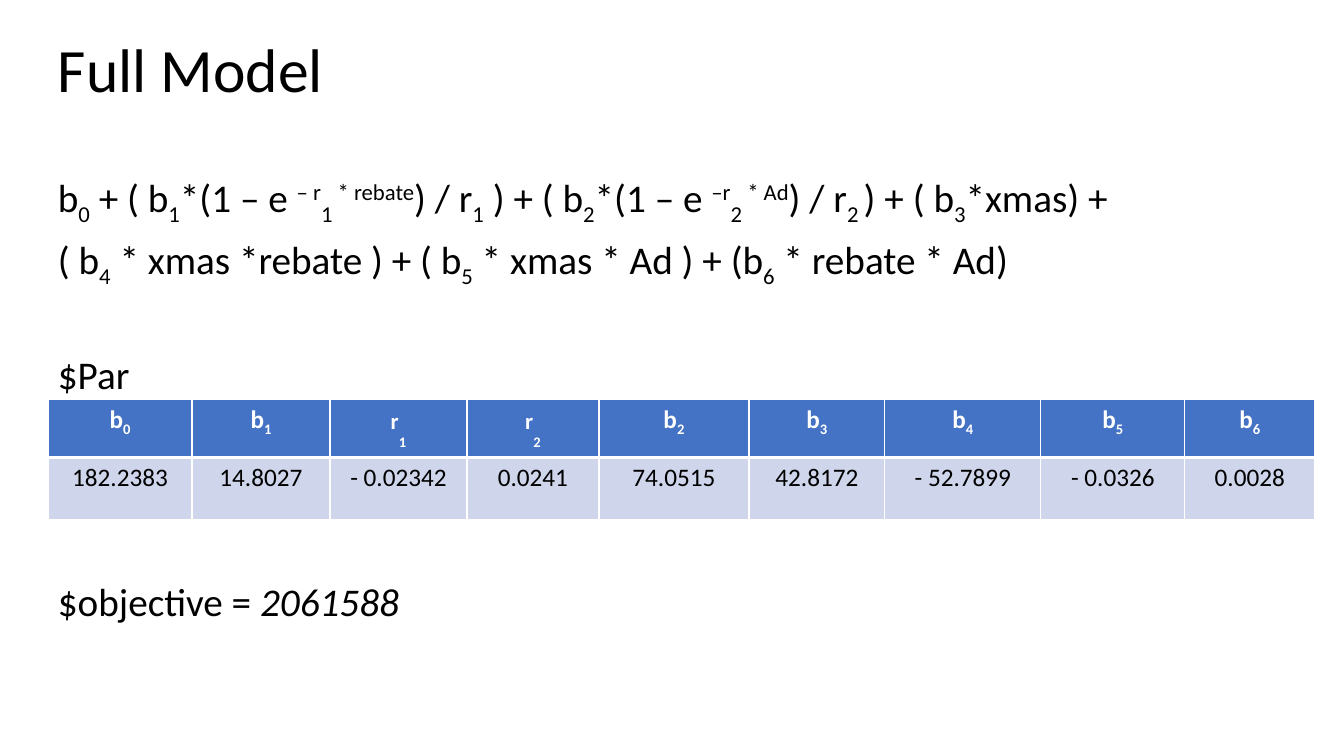
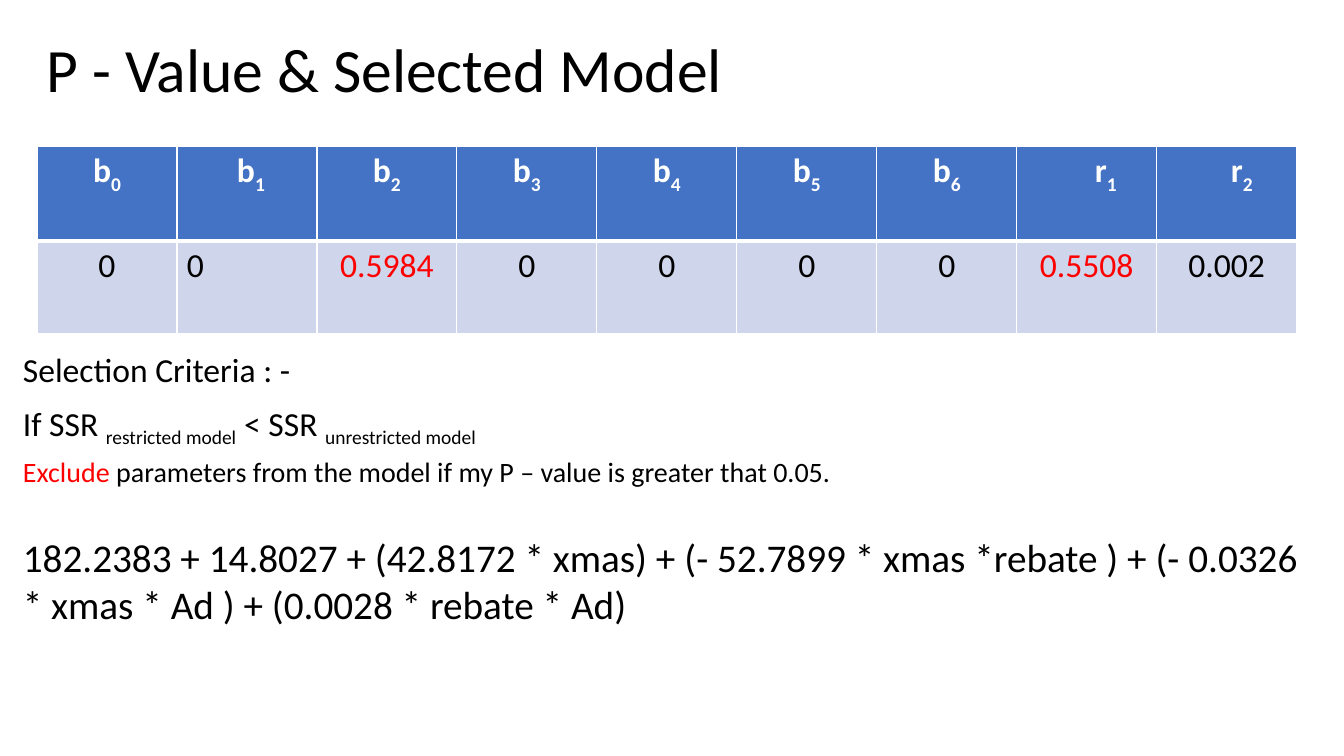
from lxml import etree
from pptx import Presentation
from pptx.dml.color import RGBColor
from pptx.enum.text import MSO_ANCHOR, PP_ALIGN
from pptx.oxml.ns import qn
from pptx.util import Pt

# Shared look
PX = 914400 / 100.8
FONT = "Calibri"
BLACK, WHITE, RED = "000000", "FFFFFF", "FF0000"
HEADER_FILL, VALUE_FILL = "4472C4", "CFD5EA"
TITLE_HEIGHT, TITLE_SIZE = 146, 44
BODY_SPACING, PARAGRAPH_GAP = 0.9, 10
CELL_INSET = 10

# Inline marks, each switched on and off by its character
MARKS = {
    "~": {"baseline": -25},
    "^": {"baseline": 30},
    "`": {"baseline": 30, "size": 28},
    "|": {"italic": True},
    "!": {"color": RED},
}


def px(value):
    return round(value * PX)


def rgb(value):
    return RGBColor.from_string(value)


def split_marks(text):
    """Yield (piece, style) for each stretch of equally marked text."""
    piece, active = "", None
    for char in text:
        if char in MARKS:
            if piece:
                yield piece, MARKS.get(active, {})
            piece, active = "", None if active == char else char
        else:
            piece += char
    if piece:
        yield piece, MARKS.get(active, {})


def write(paragraph, text, size, color=BLACK, bold=False):
    for piece, style in split_marks(text):
        run = paragraph.add_run()
        run.text = piece
        font = run.font
        font.name = FONT
        font.size = Pt(style.get("size", size))
        font.bold = bold
        font.italic = style.get("italic", False)
        font.color.rgb = rgb(style.get("color", color))
        if "baseline" in style:
            run._r.get_or_add_rPr().set("baseline", str(style["baseline"] * 1000))


def add_text(slide, box, lines, anchor=MSO_ANCHOR.TOP):
    """Each line is (text, size, space before, line spacing)."""
    frame = slide.shapes.add_textbox(*map(px, box)).text_frame
    frame.word_wrap = True
    frame.vertical_anchor = anchor
    for index, (text, size, before, spacing) in enumerate(lines):
        paragraph = frame.paragraphs[0] if index == 0 else frame.add_paragraph()
        paragraph.space_before = Pt(before)
        paragraph.line_spacing = spacing
        write(paragraph, text, size)


def add_title(slide, left, width, text):
    add_text(slide, (left, 0, width, TITLE_HEIGHT),
             [(text, TITLE_SIZE, 0, BODY_SPACING)], MSO_ANCHOR.MIDDLE)


def set_borders(cell, widths):
    properties = cell._tc.get_or_add_tcPr()
    for side, width in zip("LRTB", widths):
        line = etree.SubElement(properties, qn(f"a:ln{side}"), w=str(Pt(width)))
        fill = etree.SubElement(line, qn("a:solidFill"))
        etree.SubElement(fill, qn("a:srgbClr"), val=WHITE)


def add_parameter_table(slide, left, top, columns, rows, names, values, size):
    table = slide.shapes.add_table(
        2, len(columns), px(left), px(top), px(sum(columns)), px(sum(rows))).table
    for column, width in zip(table.columns, columns):
        column.width = px(width)
    for row, height in zip(table.rows, rows):
        row.height = px(height)
    for r, texts in enumerate((names, values)):
        is_header = r == 0
        # The rule between header and values is heavier than the rest
        widths = (1, 1, 1, 3) if is_header else (1, 1, 3, 1)
        for c, text in enumerate(texts):
            cell = table.cell(r, c)
            set_borders(cell, widths)
            cell.fill.solid()
            cell.fill.fore_color.rgb = rgb(HEADER_FILL if is_header else VALUE_FILL)
            cell.margin_left = cell.margin_right = px(CELL_INSET)
            paragraph = cell.text_frame.paragraphs[0]
            paragraph.alignment = PP_ALIGN.CENTER
            write(paragraph, text, size, WHITE if is_header else BLACK, is_header)
    return table


def full_model(slide):
    blank_line = 40.7
    add_text(slide, (48, 169, 1267, 587), [
        ("b~0~ + ( b~1~*(1 – e ^– r^~1~^ * rebate^) / r~1~ ) + "
         "( b~2~*(1 – e ^–r^~2~^ * Ad^) / r~2 ~) + ( b~3~*xmas) + ",
         28, 0, BODY_SPACING),
        ("( b~4~ * xmas *rebate ) + ( b~5~ * xmas * Ad ) + (b~6~ * rebate * Ad)",
         28, PARAGRAPH_GAP, BODY_SPACING),
        ("$Par", 28, PARAGRAPH_GAP + blank_line, BODY_SPACING),
        ("$objective = |2061588|", 28, PARAGRAPH_GAP + 3 * blank_line, BODY_SPACING),
    ])
    add_title(slide, 48, 1159, "Full Model")
    add_parameter_table(
        slide, 48, 399, [144, 138, 137, 132, 150, 136, 156, 144, 130], [58, 62],
        ["b~0~", "b~1~", "`r`~1~", "`r`~2~", "b~2~", "b~3~", "b~4~", "b~5~", "b~6~"],
        ["182.2383", "14.8027", "- 0.02342", "0.0241", "74.0515", "42.8172",
         "- 52.7899", "- 0.0326", "0.0028"], 18)


def selected_model(slide):
    add_title(slide, 37, 1260, "P - Value & Selected Model")
    names = [f"b~{i}~" for i in range(7)] + ["r~1~", "r~2~"]
    table = add_parameter_table(
        slide, 37, 146, [140] * 9, [95, 93], names,
        ["0", "0", "!0.5984!", "0", "0", "0", "0", "!0.5508!", "0.002"], 24)
    # Headings set right of centre, and the one value set left
    for column, shift in {1: 8, 7: 38, 8: 30}.items():
        table.cell(0, column).margin_left = px(CELL_INSET + shift)
    table.cell(1, 1).text_frame.paragraphs[0].alignment = PP_ALIGN.LEFT
    add_text(slide, (13, 348, 1317, 355), [
        ("Selection Criteria : -", 24, 0, BODY_SPACING),
        ("If SSR ~restricted model~ < SSR ~unrestricted model~",
         24, PARAGRAPH_GAP, BODY_SPACING),
        ("!Exclude! parameters from the model if my P – value is greater that 0.05.",
         20, PARAGRAPH_GAP, BODY_SPACING),
        ("182.2383 + 14.8027 + (42.8172 * xmas) + (- 52.7899 * xmas *rebate ) + "
         "(- 0.0326 * xmas * Ad ) + (0.0028 * rebate * Ad)", 28, 32, 1.0),
    ])


def main():
    deck = Presentation()
    deck.slide_width, deck.slide_height = px(1344), px(756)
    for build in (full_model, selected_model):
        build(deck.slides.add_slide(deck.slide_layouts[6]))
    deck.save("out.pptx")


main()
